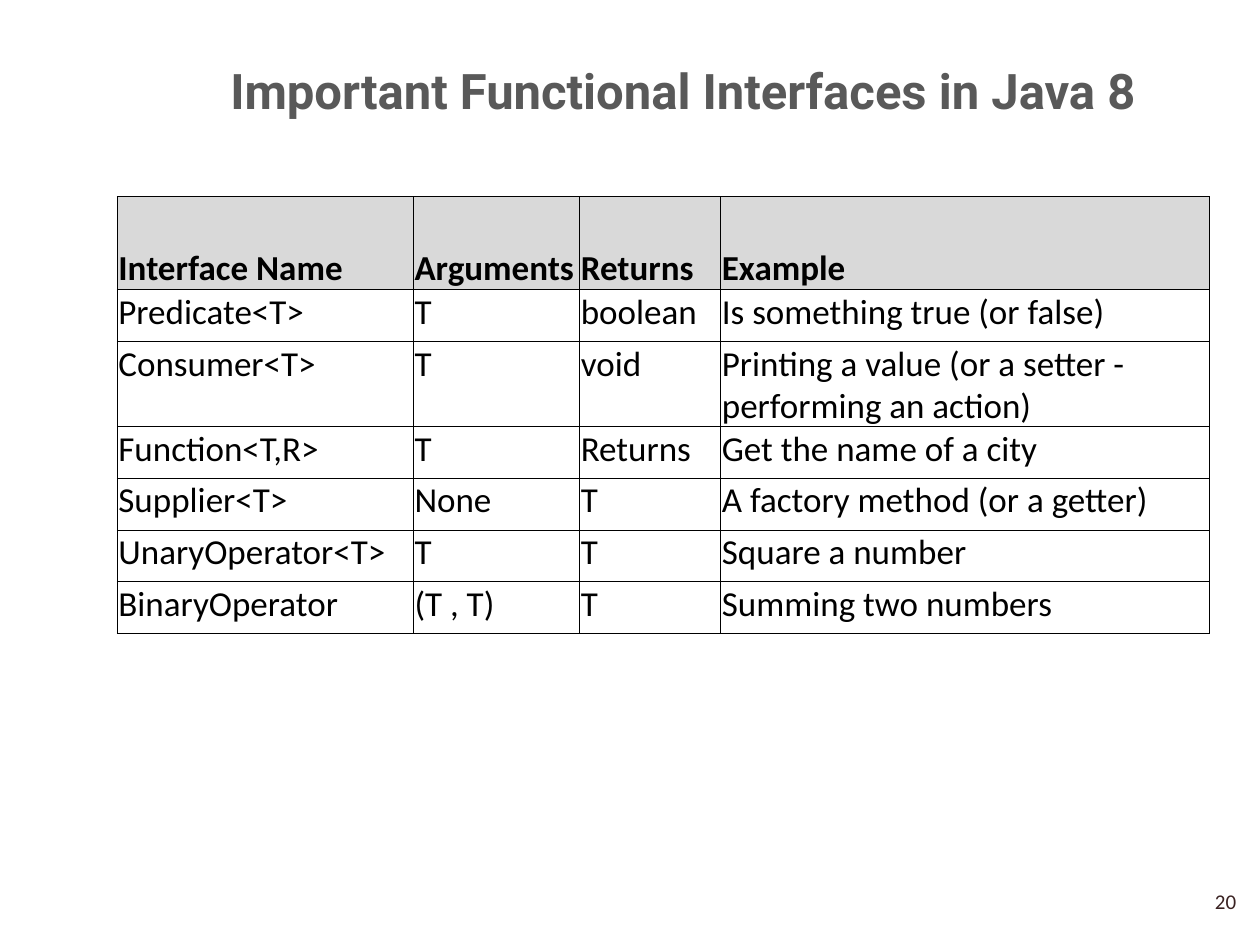
"""Build a slide that lists the functional interfaces in Java 8."""
from lxml.etree import SubElement
from pptx import Presentation
from pptx.dml.color import RGBColor
from pptx.enum.text import MSO_ANCHOR, PP_ALIGN
from pptx.oxml.ns import qn
from pptx.util import Inches, Pt

BLACK = RGBColor(0, 0, 0)
WHITE = RGBColor(255, 255, 255)
GRAY = RGBColor(0xD9, 0xD9, 0xD9)
SLATE = RGBColor(0x59, 0x59, 0x59)
BROWN = RGBColor(0x3A, 0x22, 0x22)

TITLE = {"name": "Roboto", "size": Pt(28), "bold": True}
HEAD = {"name": "Calibri", "size": Pt(20), "bold": True}
BODY = {**HEAD, "bold": False}
PAGE = {"name": "Calibri", "size": Pt(12)}
INSETS = {
    "margin_left": Inches(0.01),
    "margin_right": Inches(0.01),
    "margin_top": Inches(0.01),
    "margin_bottom": Inches(0),
}

WIDTHS = [2.35, 1.32, 1.12, 3.88]
HEIGHTS = [0.74] + [0.41] * 6
ROWS = [
    ("Interface Name", "Arguments", "Returns", "Example"),
    ("Predicate<T>", "T", "boolean", "Is something true (or false)"),
    ("Consumer<T>", "T", "void",
     "Printing a value (or a setter - performing an action)"),
    ("Function<T,R>", "T", "Returns", "Get the name of a city"),
    ("Supplier<T>", "None", "T", "A factory method (or a getter)"),
    ("UnaryOperator<T>", "T", "T", "Square a number"),
    ("BinaryOperator", "(T , T)", "T", "Summing two numbers"),
]


def apply(item, values):
    """Set each named value on the item."""
    for name, value in values.items():
        setattr(item, name, value)


def write(frame, text, style, color, align=PP_ALIGN.LEFT):
    """Put one styled line of text in the frame."""
    line = frame.paragraphs[0]
    line.alignment = align
    run = line.add_run()
    run.text = text
    apply(run.font, style)
    run.font.color.rgb = color


def add_text(slide, box, text, style, color, align):
    """Add a text box whose text is centred in height."""
    frame = slide.shapes.add_textbox(*map(Inches, box)).text_frame
    apply(frame, {"word_wrap": True, "vertical_anchor": MSO_ANCHOR.MIDDLE})
    write(frame, text, style, color, align)


def add_edges(cell):
    """Draw a thin black line on each side of the cell."""
    props = cell._tc.get_or_add_tcPr()
    for side in ("lnL", "lnR", "lnT", "lnB"):
        edge = SubElement(props, qn(f"a:{side}"), w=str(Pt(0.5)))
        fill = SubElement(edge, qn("a:solidFill"))
        SubElement(fill, qn("a:srgbClr"), val=str(BLACK))


def fill_cell(cell, text, head):
    """Style one cell and write its text."""
    apply(cell, INSETS)
    cell.vertical_anchor = MSO_ANCHOR.BOTTOM if head else MSO_ANCHOR.TOP
    add_edges(cell)
    cell.fill.solid()
    cell.fill.fore_color.rgb = GRAY if head else WHITE
    write(cell.text_frame, text, HEAD if head else BODY, BLACK)


def add_grid(slide, left, top):
    """Add the table of interfaces."""
    size = map(Inches, (left, top, sum(WIDTHS), sum(HEIGHTS)))
    grid = slide.shapes.add_table(len(ROWS), len(WIDTHS), *size).table
    for col, width in zip(grid.columns, WIDTHS):
        col.width = Inches(width)
    for row, height, texts in zip(grid.rows, HEIGHTS, ROWS):
        row.height = Inches(height)
        for cell, text in zip(row.cells, texts):
            fill_cell(cell, text, texts is ROWS[0])


def main():
    """Make the deck and save it."""
    deck = Presentation()
    apply(deck, {"slide_width": Inches(10), "slide_height": Inches(7.5)})
    slide = deck.slides.add_slide(deck.slide_layouts[6])
    add_text(slide, (0.92, 0.3, 9, 0.82),
             "Important Functional Interfaces in Java 8",
             TITLE, SLATE, PP_ALIGN.CENTER)
    add_grid(slide, 0.93, 1.56)
    add_text(slide, (7.58, 6.95, 2.33, 0.4), "20", PAGE, BROWN,
             PP_ALIGN.RIGHT)
    deck.save("out.pptx")


main()
